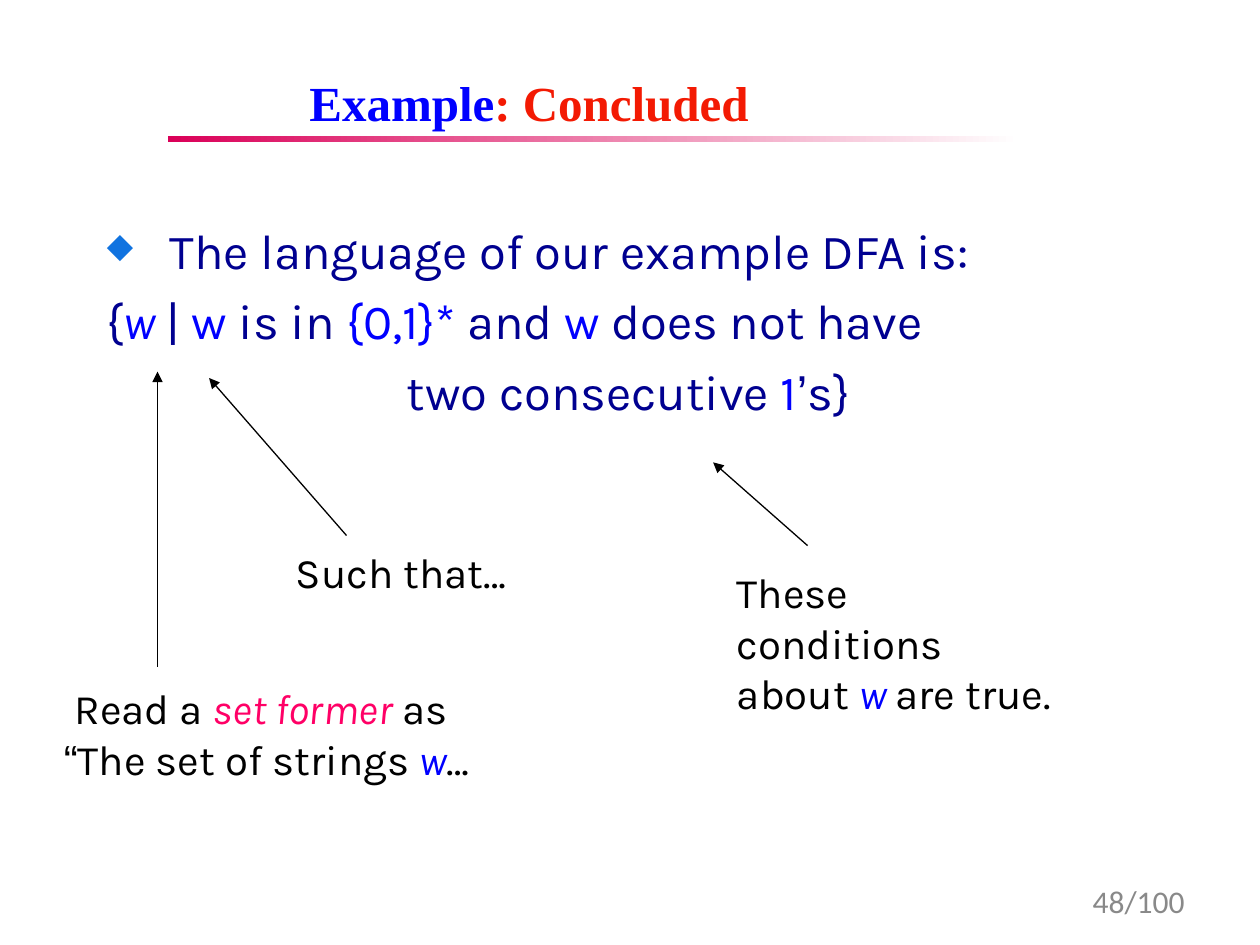
from lxml import etree
from pptx import Presentation
from pptx.dml.color import RGBColor as Color
from pptx.enum.dml import MSO_LINE_DASH_STYLE as Dash
from pptx.enum.shapes import MSO_CONNECTOR as Connector, MSO_SHAPE as Shape
from pptx.enum.text import MSO_ANCHOR as Anchor, PP_ALIGN as Align
from pptx.oxml.ns import qn
from pptx.util import Pt

COLORS = {
    "blue": "0000FF", "red": "F31A03", "navy": "000090", "black": "000000",
    "pink": "FF0066", "gray": "898989", "bullet": "1073E0",
    "rule": "DA0058", "white": "FFFFFF",
}

TITLE = [[("Example", "blue"), (": Concluded", "red")]]
LANGUAGE = [
    [("The language of our example DFA is:", "navy")],
    [("{", "navy"), ("w ", "blue", "italic"), ("| ", "navy"), ("w", "blue"),
     (" is in ", "navy"), ("{0,1}* ", "blue"), ("and ", "navy"),
     ("w", "blue"), (" does not have", "navy")],
    [("two consecutive ", "navy"), ("1", "blue"),
     ("’", "navy", "arial"), ("s}", "navy")],
]
LANGUAGE_INDENTS = [(36, -36), (27, -27), (171.4, 0)]
NOTES = [
    {"place": (29.5, 386.6, 270.7, 65.5), "arrow": (90, 381, 90, 212.4),
     "indents": [(0, 6), (0, 0)],
     "lines": [
         [("Read a ", "black"), ("set former", "pink", "italic"), (" as", "black")],
         [("“", "black", "arial"), ("The set of strings ", "black"),
          ("w", "blue", "italic"), ("…", "black")]]},
    {"place": (162, 308.9, 136.1, 36.7), "arrow": (198, 306, 119.5, 216),
     "lines": [[("Such that…", "black")]]},
    {"place": (414, 320.4, 200.9, 65.5), "arrow": (461.5, 311.8, 407.5, 264.2),
     "wrap": True,
     "lines": [
         [("These conditions", "black")],
         [("about ", "black"), ("w ", "blue", "italic"), ("are true.", "black")]]},
]
PAGE_NUMBER = [[("48/100", "gray")]]


def rgb(name):
    return Color.from_string(COLORS[name])


def add_bullet(para, mark, color, percent):
    props = para._p.get_or_add_pPr()
    holder = etree.SubElement(props, qn("a:buClr"))
    etree.SubElement(holder, qn("a:srgbClr"), val=COLORS[color])
    etree.SubElement(props, qn("a:buSzPct"), val=str(percent * 1000))
    etree.SubElement(props, qn("a:buChar"), char=mark)


def write(box, place, lines, size=24, font="Karla", bold=False, wrap=False,
          align=Align.LEFT, anchor=Anchor.TOP, indents=None, gap=0,
          insets=(7.2, 3.6), bullet=None):
    box.left, box.top, box.width, box.height = map(Pt, place)
    frame = box.text_frame
    frame.word_wrap = wrap
    frame.vertical_anchor = anchor
    frame.margin_left = frame.margin_right = Pt(insets[0])
    frame.margin_top = frame.margin_bottom = Pt(insets[1])
    for index, line in enumerate(lines):
        para = frame.add_paragraph() if index else frame.paragraphs[0]
        para.alignment = align
        para.space_before = Pt(gap if index else 0)
        if indents:
            margin, indent = indents[index]
            props = para._p.get_or_add_pPr()
            props.set("marL", str(Pt(margin)))
            props.set("indent", str(Pt(indent)))
        if bullet and index == 0:
            add_bullet(para, *bullet)
        for text, color, *styles in line:
            span = para.add_run()
            span.text = text
            span.font.name = "Arial" if "arial" in styles else font
            span.font.size = Pt(size)
            span.font.bold = bold
            span.font.italic = "italic" in styles
            span.font.color.rgb = rgb(color)


def add_arrow(page, ends):
    arrow = page.shapes.add_connector(Connector.STRAIGHT, *map(Pt, ends))
    arrow.line.color.rgb = rgb("black")
    arrow.line.width = Pt(0.75)
    etree.SubElement(arrow.line._get_or_add_ln(), qn("a:tailEnd"), type="triangle")
    etree.SubElement(arrow._element.spPr, qn("a:effectLst"))


def add_rule(page, place):
    rule = page.shapes.add_shape(Shape.RECTANGLE, *map(Pt, place))
    rule.shadow.inherit = False
    rule.line.fill.background()
    rule.fill.gradient()
    rule.fill.gradient_angle = 0
    for stop, color, position in zip(rule.fill.gradient_stops, ("rule", "white"), (0, 1)):
        stop.color.rgb = rgb(color)
        stop.position = position


def add_text(page):
    return page.shapes.add_textbox(0, 0, 0, 0)


def main():
    deck = Presentation()
    deck.slide_width, deck.slide_height = Pt(720), Pt(540)
    page = deck.slides.add_slide(deck.slide_layouts[5])
    add_rule(page, (95.8, 77.8, 486.7, 3.6))
    write(page.shapes.title, (172, 39.6, 260.6, 37.4), TITLE, size=28,
          font="Times New Roman", bold=True, align=Align.CENTER, insets=(3.6, 1.8))
    write(add_text(page), (54, 122.4, 612, 324), LANGUAGE, size=28, wrap=True,
          indents=LANGUAGE_INDENTS, gap=6.6, bullet=("◆", "bullet", 70))
    for note in NOTES:
        write(add_text(page), note["place"], note["lines"],
              wrap=note.get("wrap", False), indents=note.get("indents"))
        add_arrow(page, note["arrow"])
    write(add_text(page), (516.2, 500.4, 167.8, 28.8), PAGE_NUMBER, size=18,
          font="Calibri", wrap=True, align=Align.RIGHT, anchor=Anchor.MIDDLE)
    deck.save("out.pptx")


if __name__ == "__main__":
    main()
